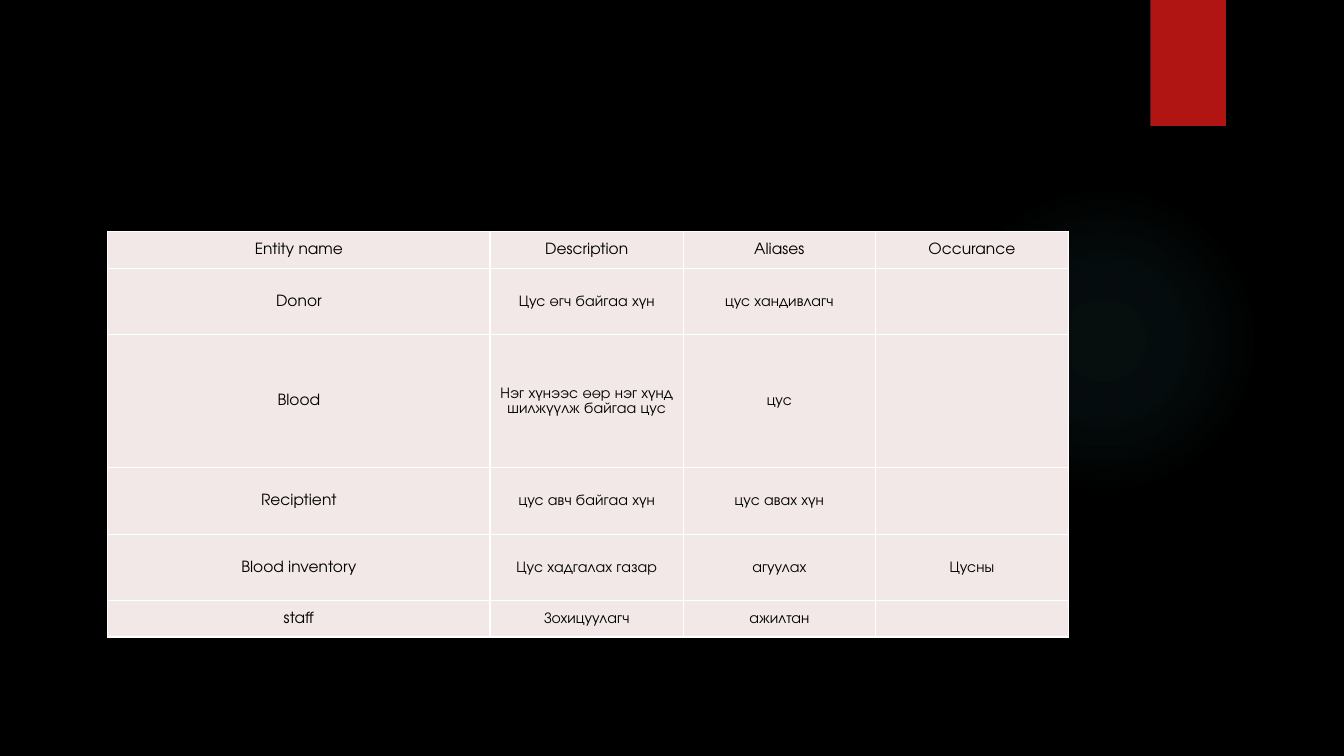
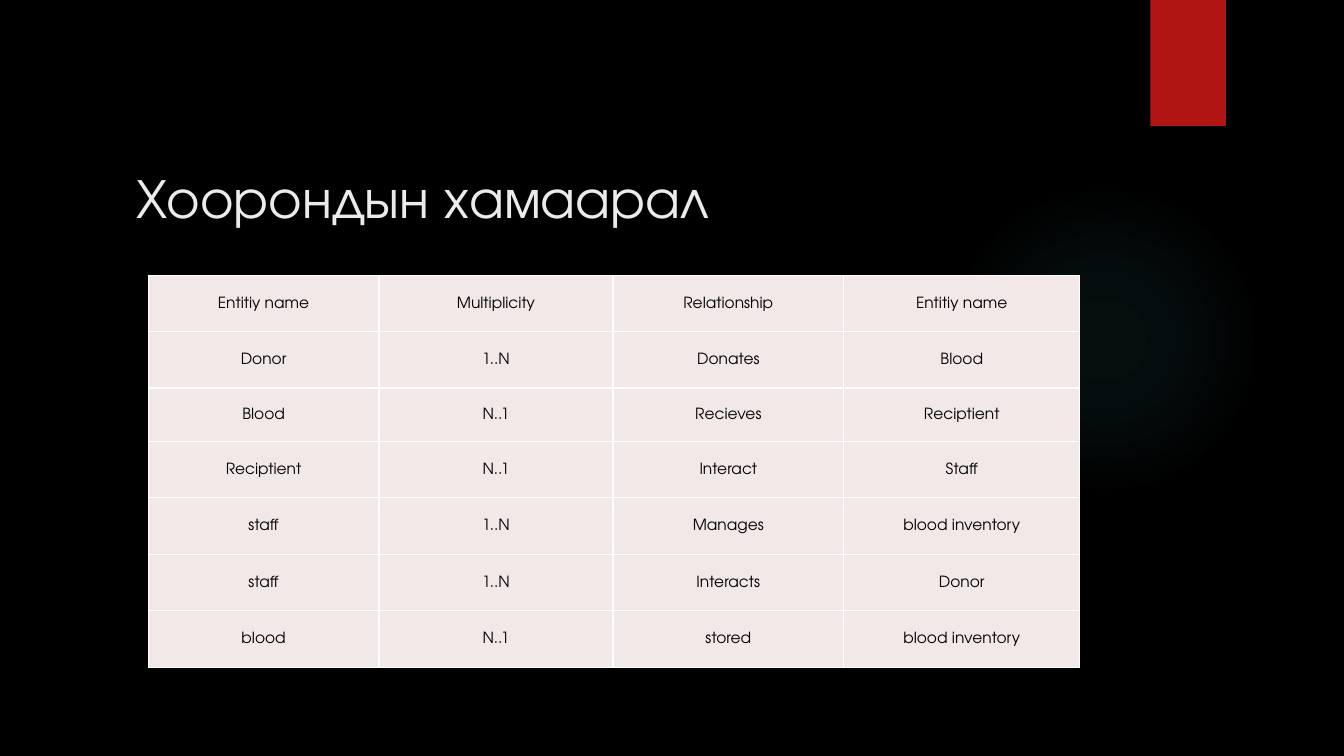
from lxml.etree import SubElement
from pptx import Presentation
from pptx.dml.color import RGBColor
from pptx.enum.shapes import MSO_SHAPE
from pptx.enum.text import MSO_ANCHOR, PP_ALIGN
from pptx.oxml import parse_xml
from pptx.oxml.ns import nsdecls, qn
from pptx.util import Inches, Pt

FONT = "TeX Gyre Adventor"
COLORS = {
    "background": "000000",
    "glow": "50B9C1",
    "ribbon": "B01513",
    "title": "EBEBEB",
    "cell": "F2E8E7",
    "cell_text": "000000",
    "border": "FFFFFF",
}
GLOW_STOPS = [(0, 7), (36, 6), (69, 0)]

SLIDES = [
    {
        "title": None,
        "corner": (1.07, 2.3),
        "columns": [3.79, 1.92, 1.9, 1.92],
        "heights": [0.36, 0.66, 1.32, 0.66, 0.66, 0.36],
        "rows": [
            ("Entity name", "Description", "Aliases", "Occurance"),
            ("Donor", "Цус өгч байгаа хүн", "цус хандивлагч", ""),
            ("Blood", "Нэг хүнээс өөр нэг хүнд шилжүүлж байгаа цус", "цус", ""),
            ("Reciptient", "цус авч байгаа хүн", "цус авах хүн", ""),
            ("Blood inventory", "Цус хадгалах газар", "агуулах", "Цусны"),
            ("staff", "Зохицуулагч", "ажилтан", ""),
        ],
    },
    {
        "title": "Хоорондын хамаарал",
        "corner": (1.47, 2.73),
        "columns": [2.29, 2.32, 2.29, 2.34],
        "heights": [0.56, 0.56, 0.53, 0.56, 0.56, 0.56, 0.56],
        "rows": [
            ("Entitiy name", "Multiplicity", "Relationship", "Entitiy name"),
            ("Donor", "1..N", "Donates", "Blood"),
            ("Blood", "N..1", "Recieves", "Reciptient"),
            ("Reciptient", "N..1", "Interact", "Staff"),
            ("staff", "1..N", "Manages", "blood inventory"),
            ("staff", "1..N", "Interacts", "Donor"),
            ("blood", "N..1", "stored", "blood inventory"),
        ],
    },
]


def color(name):
    return RGBColor.from_string(COLORS[name])


def style_runs(paragraph, size, color_name):
    for run in paragraph.runs:
        run.font.name = FONT
        run.font.size = Pt(size)
        run.font.color.rgb = color(color_name)


def add_panel(slide, preset, left, top, width, height):
    panel = slide.shapes.add_shape(
        preset, Inches(left), Inches(top), Inches(width), Inches(height))
    panel.shadow.inherit = False
    panel.line.fill.background()
    return panel


def add_backdrop(slide):
    slide.background.fill.solid()
    slide.background.fill.fore_color.rgb = color("background")

    glow = add_panel(slide, MSO_SHAPE.OVAL, 9.41, 1.83, 3.08, 3.08)
    stops = "".join(
        f'<a:gs pos="{position * 1000}"><a:srgbClr val="{COLORS["glow"]}">'
        f'<a:alpha val="{opacity * 1000}"/></a:srgbClr></a:gs>'
        for position, opacity in GLOW_STOPS)
    gradient = parse_xml(
        f'<a:gradFill {nsdecls("a")} rotWithShape="1"><a:gsLst>{stops}</a:gsLst>'
        '<a:path path="circle"><a:fillToRect l="50000" t="50000" r="50000" b="50000"/>'
        '</a:path></a:gradFill>')
    glow.element.spPr.find(qn("a:prstGeom")).addnext(gradient)

    ribbon = add_panel(slide, MSO_SHAPE.RECTANGLE, 11.41, 0, 0.75, 1.25)
    ribbon.fill.solid()
    ribbon.fill.fore_color.rgb = color("ribbon")


def add_title(slide, words):
    title = slide.shapes.add_textbox(
        Inches(1.26), Inches(0.97), Inches(9.65), Inches(1.36)).text_frame
    title.word_wrap = True
    title.vertical_anchor = MSO_ANCHOR.BOTTOM
    title.text = words
    style_runs(title.paragraphs[0], 40, "title")


def add_borders(cell):
    properties = cell._tc.get_or_add_tcPr()
    for index, side in enumerate(("lnL", "lnR", "lnT", "lnB")):
        border = parse_xml(f'<a:{side} {nsdecls("a")} w="{Pt(1)}"/>')
        paint = SubElement(border, qn("a:solidFill"))
        SubElement(paint, qn("a:srgbClr")).set("val", COLORS["border"])
        properties.insert(index, border)


def fill_cell(cell, words):
    cell.fill.solid()
    cell.fill.fore_color.rgb = color("cell")
    cell.vertical_anchor = MSO_ANCHOR.MIDDLE
    cell.margin_left = cell.margin_right = cell.margin_top = Inches(0.01)
    cell.margin_bottom = 0
    cell.text = words
    paragraph = cell.text_frame.paragraphs[0]
    paragraph.alignment = PP_ALIGN.CENTER
    style_runs(paragraph, 11, "cell_text")
    add_borders(cell)


def add_entity_table(slide, content):
    rows, columns, heights = content["rows"], content["columns"], content["heights"]
    left, top = content["corner"]
    table = slide.shapes.add_table(
        len(rows), len(columns), Inches(left), Inches(top),
        Inches(sum(columns)), Inches(sum(heights))).table
    table.first_row = False
    table.horz_banding = False
    for column, width in zip(table.columns, columns):
        column.width = Inches(width)
    for row, height, entries in zip(table.rows, heights, rows):
        row.height = Inches(height)
        for cell, words in zip(row.cells, entries):
            fill_cell(cell, words)


def main():
    deck = Presentation()
    deck.slide_width = Inches(13.33)
    deck.slide_height = Inches(7.5)
    for content in SLIDES:
        slide = deck.slides.add_slide(deck.slide_layouts[6])
        add_backdrop(slide)
        if content["title"]:
            add_title(slide, content["title"])
        add_entity_table(slide, content)
    deck.save("out.pptx")


if __name__ == "__main__":
    main()
